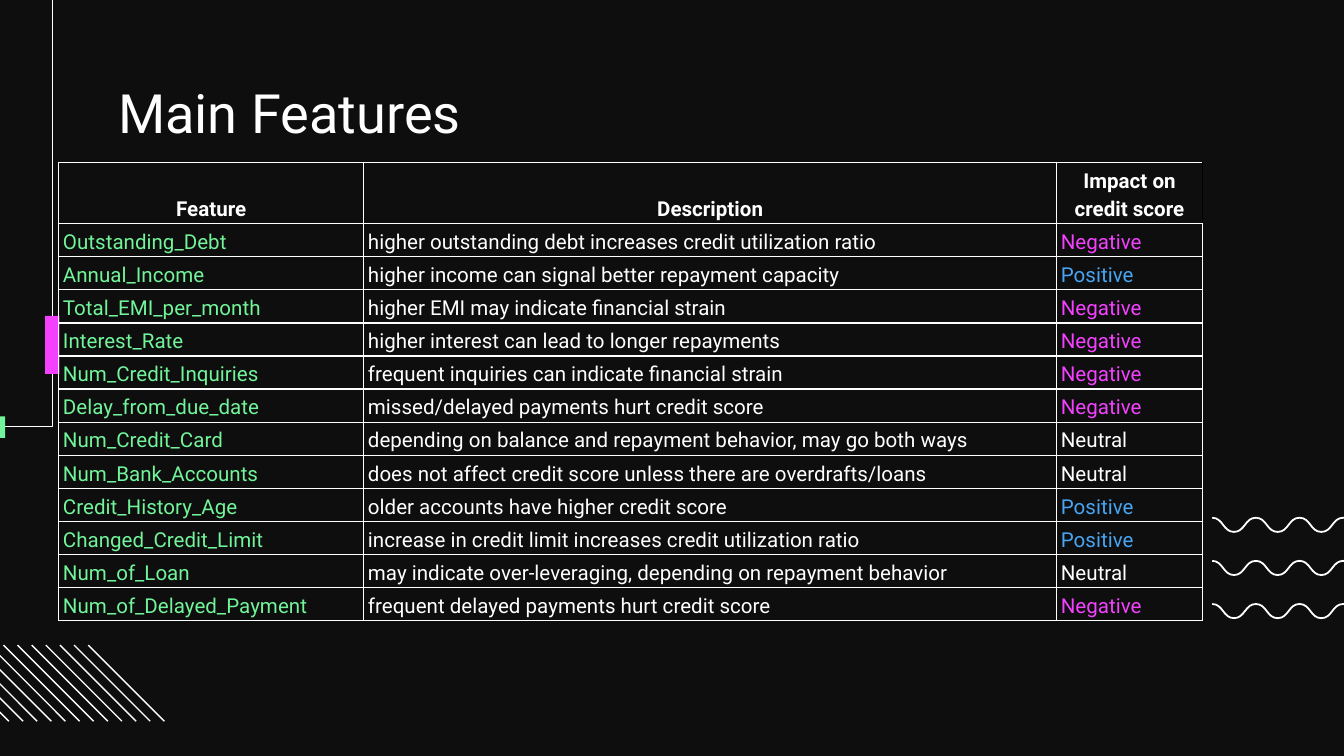
from typing import NamedTuple

from lxml.etree import SubElement
from pptx import Presentation
from pptx.dml.color import RGBColor
from pptx.enum.shapes import MSO_CONNECTOR as CONN, MSO_SHAPE as SHAPE
from pptx.enum.text import MSO_ANCHOR as ANCHOR, PP_ALIGN as ALIGN
from pptx.oxml import parse_xml
from pptx.oxml.ns import nsdecls, qn
from pptx.util import Pt

BLACK = RGBColor(0x00, 0x00, 0x00)
DARK = RGBColor(0x0E, 0x0E, 0x0E)
WHITE = RGBColor(0xFF, 0xFF, 0xFF)
GREEN = RGBColor(0x72, 0xF4, 0x9A)
PINK = RGBColor(0xF3, 0x41, 0xFF)
BLUE = RGBColor(0x47, 0xA5, 0xF3)
FONT = "Roboto"
THIN = 0.75

IMPACT_COLORS = {"Negative": PINK, "Positive": BLUE, "Neutral": WHITE}
COL_WIDTHS = (163.4, 371.2, 78.1)
HEADER_HEIGHT, ROW_HEIGHT = 32.7, 17.73


class Feature(NamedTuple):
    name: str
    description: str
    impact: str


class Block(NamedTuple):
    left: float
    top: float
    width: float
    height: float
    color: RGBColor


HEADERS = ("Feature", "Description", "Impact on\ncredit score")
FEATURES = (
    Feature("Outstanding_Debt", "higher outstanding debt increases credit utilization ratio", "Negative"),
    Feature("Annual_Income", "higher income can signal better repayment capacity", "Positive"),
    Feature("Total_EMI_per_month", "higher EMI may indicate financial strain", "Negative"),
    Feature("Interest_Rate", "higher interest can lead to longer repayments", "Negative"),
    Feature("Num_Credit_Inquiries", "frequent inquiries can indicate financial strain", "Negative"),
    Feature("Delay_from_due_date", "missed/delayed payments hurt credit score", "Negative"),
    Feature("Num_Credit_Card", "depending on balance and repayment behavior, may go both ways", "Neutral"),
    Feature("Num_Bank_Accounts", "does not affect credit score unless there are overdrafts/loans", "Neutral"),
    Feature("Credit_History_Age", "older accounts have higher credit score", "Positive"),
    Feature("Changed_Credit_Limit", "increase in credit limit increases credit utilization ratio", "Positive"),
    Feature("Num_of_Loan", "may indicate over-leveraging, depending on repayment behavior", "Neutral"),
    Feature("Num_of_Delayed_Payment", "frequent delayed payments hurt credit score", "Negative"),
)
BLOCKS = (
    Block(-8.7, 223.1, 11.5, 11.5, GREEN),
    Block(24.2, 169.3, 7.7, 31, PINK),
)


def draw_polyline(s, points: list[tuple[float, float]], weight: float):
    (x, y), *rest = [(Pt(px), Pt(py)) for px, py in points]
    builder = s.shapes.build_freeform(x, y)
    builder.add_line_segments(rest, close=False)
    sp = builder.convert_to_shape()
    sp.shadow.inherit = False
    sp.fill.background()
    sp.line.color.rgb = WHITE
    sp.line.width = Pt(weight)
    return sp


def bend_segments(sp) -> None:
    """Turn each straight segment into an S-curve that starts and ends level."""
    geometry = sp._element.spPr
    points = [(int(pt.get("x")), int(pt.get("y"))) for pt in geometry.iter(qn("a:pt"))]
    segments = list(geometry.iter(qn("a:lnTo")))
    for segment, (x0, y0), (x1, y1) in zip(segments, points, points[1:]):
        middle = (x0 + x1) // 2
        curve = parse_xml(f'<a:cubicBezTo {nsdecls("a")}/>')
        for x, y in ((middle, y0), (middle, y1), (x1, y1)):
            SubElement(curve, qn("a:pt"), x=str(x), y=str(y))
        segment.getparent().replace(segment, curve)


def draw_wave(s, top: float) -> None:
    left, half_wave, depth = 649.4, 11.7, 7.6
    points = [(left + half_wave * i, top + depth * (i % 2)) for i in range(8)]
    bend_segments(draw_polyline(s, points, 0.95))


def draw_diagonal(s, left: float) -> None:
    top, size = 345.6, 40.8
    line = s.shapes.add_connector(CONN.STRAIGHT, Pt(left), Pt(top), Pt(left + size), Pt(top + size))
    line.line.color.rgb = WHITE
    line.line.width = Pt(THIN)
    SubElement(line._element.spPr, qn("a:effectLst"))


def draw_block(s, block: Block) -> None:
    *box, color = block
    sp = s.shapes.add_shape(SHAPE.RECTANGLE, *map(Pt, box))
    sp.shadow.inherit = False
    sp.fill.solid()
    sp.fill.fore_color.rgb = color
    sp.line.fill.background()


def draw_title(s, text: str) -> None:
    tf = s.shapes.add_textbox(Pt(56.2), Pt(42.4), Pt(607.7), Pt(33.1)).text_frame
    tf.word_wrap = True
    tf.margin_top = 0
    tf.margin_bottom = Pt(7.2)
    p = tf.paragraphs[0]
    p.text = text
    p.font.name, p.font.size, p.font.color.rgb = FONT, Pt(29), WHITE


def set_borders(cell, right: RGBColor) -> None:
    props = cell._tc.get_or_add_tcPr()
    sides = {"lnL": WHITE, "lnR": right, "lnT": WHITE, "lnB": WHITE}
    for i, (side, color) in enumerate(sides.items()):
        props.insert(i, parse_xml(
            f'<a:{side} {nsdecls("a")} w="{Pt(THIN)}"><a:solidFill>'
            f'<a:srgbClr val="{color}"/></a:solidFill></a:{side}>'))


def fill_cell(cell, text: str, color: RGBColor, header: bool = False, right: RGBColor = WHITE) -> None:
    cell.fill.background()
    cell.vertical_anchor = ANCHOR.BOTTOM
    cell.margin_left = cell.margin_right = Pt(2.25)
    cell.margin_top = cell.margin_bottom = Pt(1.25)
    cell.text = text
    for p in cell.text_frame.paragraphs:
        p.alignment = ALIGN.CENTER if header else ALIGN.LEFT
        p.line_spacing = 1.15
        p.font.name, p.font.size, p.font.bold = FONT, Pt(11), header
        p.font.color.rgb = color
    set_borders(cell, right)


def draw_table(s) -> None:
    height = HEADER_HEIGHT + ROW_HEIGHT * len(FEATURES)
    table = s.shapes.add_table(len(FEATURES) + 1, len(HEADERS), Pt(31.5), Pt(87),
                               Pt(sum(COL_WIDTHS)), Pt(height)).table
    table.first_row = table.horz_banding = False
    for col, width in zip(table.columns, COL_WIDTHS):
        col.width = Pt(width)
    for i, row in enumerate(table.rows):
        row.height = Pt(ROW_HEIGHT if i else HEADER_HEIGHT)
    for c, text in enumerate(HEADERS):
        fill_cell(table.cell(0, c), text, WHITE, header=True,
                  right=BLACK if c == len(HEADERS) - 1 else WHITE)
    for r, feature in enumerate(FEATURES, start=1):
        colors = (GREEN, WHITE, IMPACT_COLORS[feature.impact])
        for c, (text, color) in enumerate(zip(feature, colors)):
            fill_cell(table.cell(r, c), text, color)


def main() -> None:
    prs = Presentation()
    prs.slide_width, prs.slide_height = Pt(720), Pt(405)
    s = prs.slides.add_slide(prs.slide_layouts[6])
    s.background.fill.solid()
    s.background.fill.fore_color.rgb = DARK

    for i in range(3):
        draw_wave(s, 277.4 + 23.1 * i)
    for i in range(12):
        draw_diagonal(s, -36 + 7.57 * i)
    draw_polyline(s, [(-283, 228.5), (28.1, 228.5), (28.1, -15.8)], THIN)
    for block in BLOCKS:
        draw_block(s, block)
    draw_title(s, "Main Features")
    draw_table(s)
    prs.save("out.pptx")


if __name__ == "__main__":
    main()
